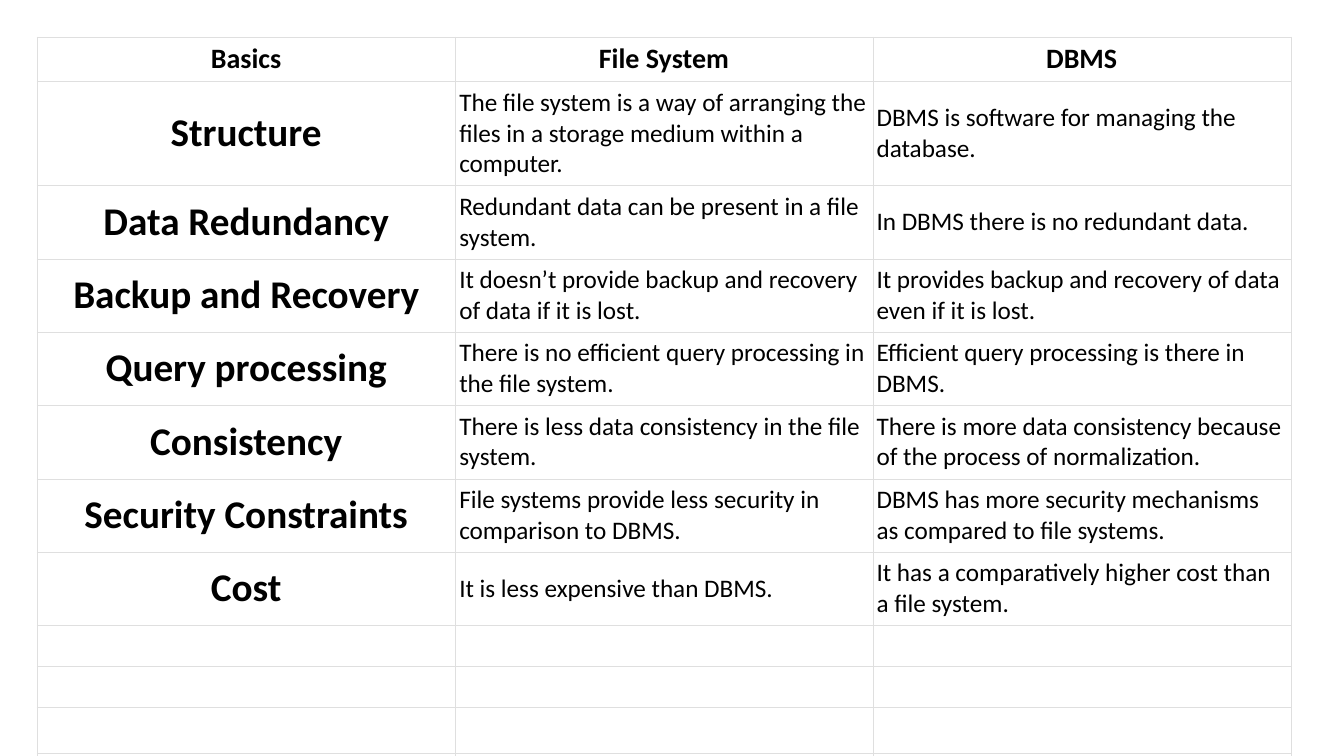
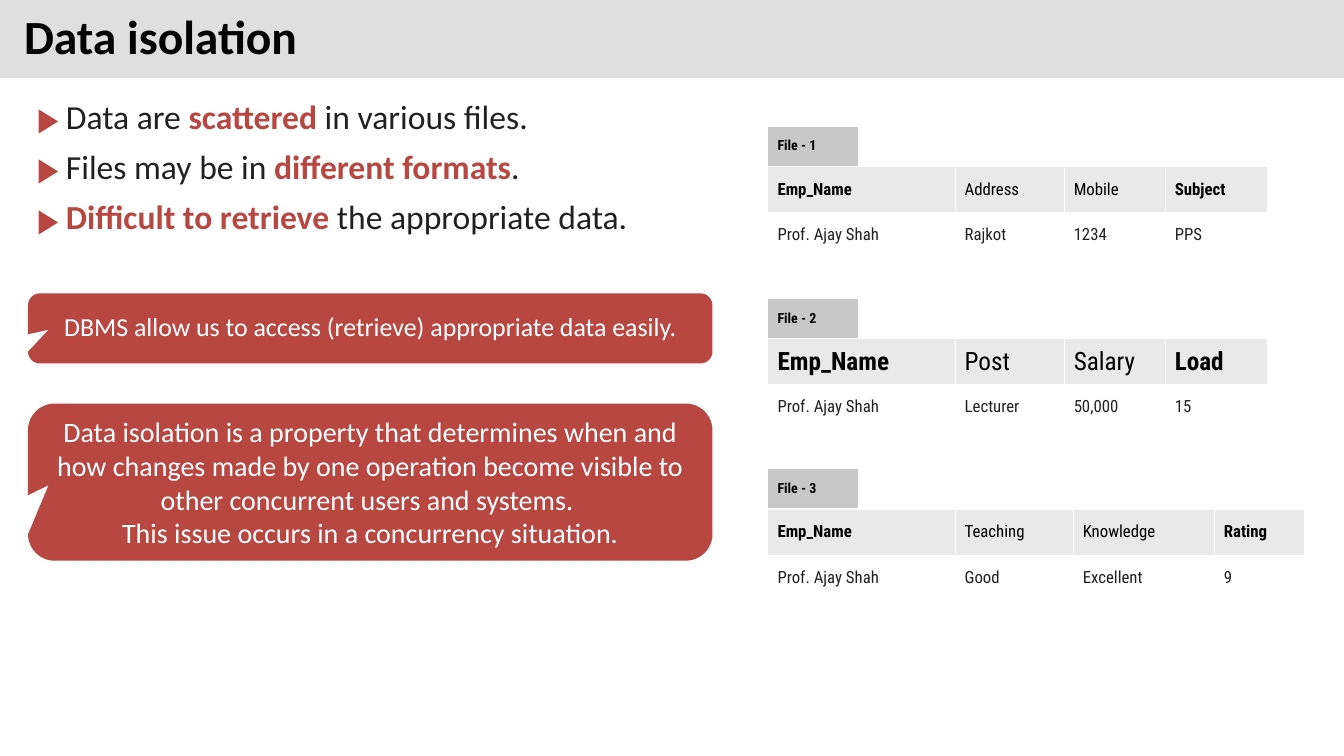
"""Build two slides that compare file systems with a DBMS and explain data isolation."""
from lxml.etree import SubElement
from pptx import Presentation
from pptx.dml.color import RGBColor
from pptx.enum.shapes import MSO_SHAPE
from pptx.enum.text import MSO_ANCHOR, PP_ALIGN
from pptx.oxml.ns import qn
from pptx.util import Emu, Pt

SCALE = 9080
WIDTH, HEIGHT = 1343, 755


def px(length):
    return Emu(length * SCALE)


def rgb(colour):
    return RGBColor.from_string(colour)


class Deck:
    BODY_FONT = "Calibri"
    TABLE_FONT = "Roboto Condensed"
    BULLET_FONT = "Noto Sans Symbols"
    BLACK, WHITE, INK = "000000", "FFFFFF", "212121"
    ACCENT, BAND = "B84742", "C0C0C0"
    GRID, HEADER, LABEL = "DFDFDF", "E9E9E9", "C8C8C8"

    def __init__(self):
        self.presentation = Presentation()
        self.presentation.slide_width = px(WIDTH)
        self.presentation.slide_height = px(HEIGHT)
        self.slide = None

    def new_slide(self):
        self.slide = self.presentation.slides.add_slide(self.presentation.slide_layouts[6])

    def run(self, paragraph, text, size, colour, bold=False, font=BODY_FONT):
        run = paragraph.add_run()
        run.text = text
        run.font.name = font
        run.font.size = Pt(size)
        run.font.bold = bold
        run.font.color.rgb = rgb(colour)

    def margins(self, holder, side, end):
        holder.margin_left = holder.margin_right = px(side)
        holder.margin_top = holder.margin_bottom = px(end)

    def block(self, preset, left, top, width, height, colour):
        shape = self.slide.shapes.add_shape(preset, px(left), px(top), px(width), px(height))
        shape.shadow.inherit = False
        shape.fill.solid()
        shape.fill.fore_color.rgb = rgb(colour)
        shape.line.fill.background()
        shape.text_frame.word_wrap = True
        shape.text_frame.vertical_anchor = MSO_ANCHOR.MIDDLE
        return shape

    def title(self, text):
        band = self.block(MSO_SHAPE.RECTANGLE, 0, 0, WIDTH, 78, self.BAND)
        colour = next(band.element.spPr.iter(qn("a:srgbClr")))
        SubElement(colour, qn("a:alpha"), val="50000")
        self.margins(band.text_frame, 24, 12)
        paragraph = band.text_frame.paragraphs[0]
        paragraph.alignment = PP_ALIGN.LEFT
        paragraph.line_spacing = 0.9
        self.run(paragraph, text, 34, self.BLACK, True)

    def paragraphs(self, frame, count):
        return [frame.paragraphs[0]] + [frame.add_paragraph() for _ in range(count - 1)]

    def bullets(self, left, top, width, height, items):
        box = self.slide.shapes.add_textbox(px(left), px(top), px(width), px(height))
        frame = box.text_frame
        frame.word_wrap = True
        for paragraph, parts in zip(self.paragraphs(frame, len(items)), items):
            paragraph.alignment = PP_ALIGN.JUSTIFY
            paragraph.line_spacing = 0.9
            paragraph.space_before = Pt(10)
            properties = paragraph._p.get_or_add_pPr()
            properties.set("marL", str(px(29)))
            properties.set("indent", str(px(-29)))
            bullet_colour = SubElement(properties, qn("a:buClr"))
            SubElement(bullet_colour, qn("a:srgbClr"), val=self.ACCENT)
            SubElement(properties, qn("a:buFont"), typeface=self.BULLET_FONT)
            SubElement(properties, qn("a:buChar"), char="▶")
            for text, strong in parts:
                self.run(paragraph, text, 24, self.ACCENT if strong else self.INK, strong)

    def callout(self, top, height, lines, size, spacing):
        shape = self.block(MSO_SHAPE.ROUNDED_RECTANGULAR_CALLOUT, 28, top, 684, height, self.ACCENT)
        for index, value in enumerate((-0.47, 0.02, 0.17)):
            shape.adjustments[index] = value
        for paragraph, line in zip(self.paragraphs(shape.text_frame, len(lines)), lines):
            paragraph.alignment = PP_ALIGN.CENTER
            paragraph.line_spacing = spacing
            self.run(paragraph, line, size, self.WHITE)

    def table(self, left, top, columns, rows, fill, border, border_width):
        frame = self.slide.shapes.add_table(
            len(rows), len(columns), px(left), px(top), px(sum(columns)), px(sum(rows)))
        table = frame.table
        table.first_row = table.horz_banding = False
        for column, width in zip(table.columns, columns):
            column.width = px(width)
        for row, height in zip(table.rows, rows):
            row.height = px(height)
        for cell in table.iter_cells():
            properties = cell._tc.get_or_add_tcPr()
            for side in ("a:lnL", "a:lnR", "a:lnT", "a:lnB"):
                line = SubElement(properties, qn(side), w=str(Pt(border_width)))
                SubElement(SubElement(line, qn("a:solidFill")), qn("a:srgbClr"), val=border)
            cell.fill.solid()
            cell.fill.fore_color.rgb = rgb(fill)
        return table

    def cell(self, cell, text, size, colour, bold, font, side=10, align=PP_ALIGN.LEFT):
        cell.vertical_anchor = MSO_ANCHOR.MIDDLE
        self.margins(cell, side, 5)
        paragraph = cell.text_frame.paragraphs[0]
        paragraph.alignment = align
        self.run(paragraph, text, size, colour, bold, font)

    def strip(self, top, columns, height, texts, fill, size, colour, bold_columns=()):
        table = self.table(767, top, columns, [height], fill, self.WHITE, 0.23)
        for index, text in enumerate(texts):
            self.cell(table.cell(0, index), text, size, colour, index in bold_columns, self.TABLE_FONT)

    def file_table(self, top, name, columns, header, values, header_size):
        self.strip(top, [91], 40, [name], self.LABEL, 10, self.BLACK, (0,))
        self.strip(top + 40, columns, 46, header, self.HEADER, header_size, self.BLACK, (0, 3))
        self.strip(top + 86, columns, 45, values, self.WHITE, 12, self.INK)


COMPARISON = [
    ("Basics", "File System", "DBMS"),
    ("Structure",
     "The file system is a way of arranging the files in a storage medium within a computer.",
     "DBMS is software for managing the database."),
    ("Data Redundancy",
     "Redundant data can be present in a file system.",
     "In DBMS there is no redundant data."),
    ("Backup and Recovery",
     "It doesn’t provide backup and recovery of data if it is lost.",
     "It provides backup and recovery of data even if it is lost."),
    ("Query processing",
     "There is no efficient query processing in the file system.",
     "Efficient query processing is there in DBMS."),
    ("Consistency",
     "There is less data consistency in the file system.",
     "There is more data consistency because of the process of normalization."),
    ("Security Constraints",
     "File systems provide less security in comparison to DBMS.",
     "DBMS has more security mechanisms as compared to file systems."),
    ("Cost",
     "It is less expensive than DBMS.",
     "It has a comparatively higher cost than a file system."),
]
COMPARISON_HEIGHTS = [44, 104] + [73, 73, 73, 74, 73, 73] + [41, 41, 46, 46] * 2

ISOLATION_POINTS = [
    [("Data are ", False), ("scattered", True), (" in various files.", False)],
    [("Files may be in ", False), ("different formats", True), (".", False)],
    [("Difficult to retrieve ", True), ("the appropriate data.", False)],
]

NARROW, WIDE = (187, 109, 101, 102), (187, 118, 141, 90)
FILES = [
    (126, NARROW, ("Emp_Name", "Address", "Mobile", "Subject"),
     ("Prof. Ajay Shah", "Rajkot", "1234", "PPS"), 12),
    (298, NARROW, ("Emp_Name", "Post", "Salary", "Load"),
     ("Prof. Ajay Shah", "Lecturer", "50,000", "15"), 18),
    (468, WIDE, ("Emp_Name", "Teaching", "Knowledge", "Rating"),
     ("Prof. Ajay Shah", "Good", "Excellent", "9"), 12),
]


def comparison_slide(deck):
    deck.new_slide()
    table = deck.table(37, 37, [418, 417, 418], COMPARISON_HEIGHTS, deck.WHITE, deck.GRID, 0.06)
    for row, texts in enumerate(COMPARISON):
        for column, text in enumerate(texts):
            heading = row == 0 or column == 0
            size = 20 if row == 0 else 28 if column == 0 else 18
            deck.cell(table.cell(row, column), text, size, deck.BLACK, heading, deck.BODY_FONT,
                      side=4 if column else 2,
                      align=PP_ALIGN.CENTER if heading else PP_ALIGN.LEFT)


def isolation_slide(deck):
    deck.new_slide()
    deck.title("Data isolation")
    deck.bullets(27, 95, 1314, 615, ISOLATION_POINTS)
    for number, (top, columns, header, values, size) in enumerate(FILES, 1):
        deck.file_table(top, f"File - {number}", columns, header, values, size)
    deck.callout(293, 70, ["DBMS allow us to access (retrieve) appropriate data easily."], 18.5, 0.9)
    deck.callout(403, 157, [
        "Data isolation is a property that determines when and how changes made by one "
        "operation become visible to other concurrent users and systems. ",
        "This issue occurs in a concurrency situation.",
    ], 20, 1.0)


def main():
    deck = Deck()
    comparison_slide(deck)
    isolation_slide(deck)
    deck.presentation.save("out.pptx")


if __name__ == "__main__":
    main()
